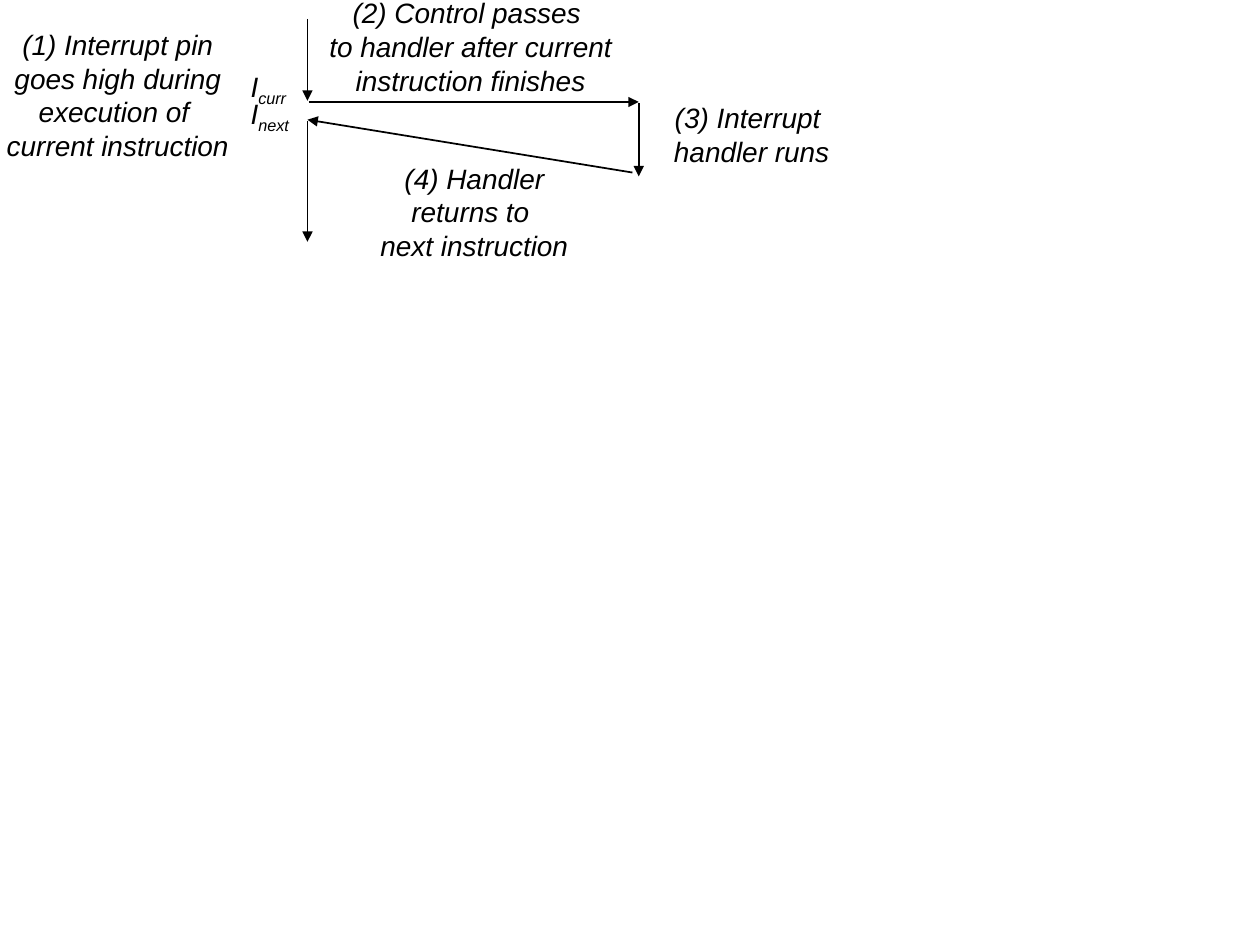
from pptx import Presentation
from pptx.dml.color import RGBColor
from pptx.enum.shapes import MSO_CONNECTOR
from pptx.enum.text import MSO_ANCHOR, MSO_AUTO_SIZE, PP_ALIGN
from pptx.oxml.ns import qn
from pptx.util import Pt
from lxml.etree import SubElement

COLORS = {"ink": "000000"}


class Diagram:
    """Style of the interrupt diagram and the slide it is drawn on."""

    def __init__(self, s):
        self.s = s
        self.ink = RGBColor.from_string(COLORS["ink"])
        self.font = {"name": "Arial", "size": Pt(16), "italic": True}

    def arrow(self, x1, y1, x2, y2):
        c = self.s.shapes.add_connector(
            MSO_CONNECTOR.STRAIGHT, Pt(x1), Pt(y1), Pt(x2), Pt(y2))
        c.line.width = Pt(1)
        c.line.color.rgb = self.ink
        SubElement(c.line._get_or_add_ln(), qn("a:tailEnd"), type="triangle")
        SubElement(c._element.spPr, qn("a:effectLst"))

    def run(self, p, text):
        r = p.add_run()
        r.text = text
        for key, value in self.font.items():
            setattr(r.font, key, value)
        r.font.color.rgb = self.ink
        return r

    def box(self, x, y, w, h, wrap=False, anchor=MSO_ANCHOR.TOP):
        tf = self.s.shapes.add_textbox(Pt(x), Pt(y), Pt(w), Pt(h)).text_frame
        tf.word_wrap = wrap
        tf.auto_size = MSO_AUTO_SIZE.SHAPE_TO_FIT_TEXT
        tf.vertical_anchor = anchor
        return tf

    def note(self, lines, *place, **options):
        tf = self.box(*place, **options)
        for i, line in enumerate(lines):
            p = tf.add_paragraph() if i else tf.paragraphs[0]
            p.alignment = PP_ALIGN.CENTER
            self.run(p, line)

    def symbol(self, base, sub, *place):
        p = self.box(*place).paragraphs[0]
        self.run(p, base)
        r = self.run(p, sub)
        r.font._element.set("baseline", "-25000")


def main():
    prs = Presentation()
    prs.slide_width, prs.slide_height = Pt(720), Pt(540)
    d = Diagram(prs.slides.add_slide(prs.slide_layouts[6]))

    # Control flow: program on the left, handler on the right
    program, handler = 175.7, 365
    d.arrow(program, 10.8, program, 57.6)
    d.arrow(176.4, 58.3, handler, 58.3)
    d.arrow(handler, 59, handler, 100.8)
    d.arrow(361.4, 98.6, program, 68.4)
    d.arrow(program, 69.1, program, 138.2)

    # Steps 2 to 4
    d.note(["(2) Control passes ", "to handler after current",
            "instruction finishes"], 180.7, -5.8, 176.4, 64.8)
    d.note(["(3) Interrupt ", "handler runs"],
           370.8, 54, 117.4, 45.4, wrap=True)
    d.note(["(4) Handler", "returns to ", "next instruction"],
           210.2, 88.6, 121.7, 64.8)

    # Instruction symbols
    d.symbol("I", "curr", 136.1, 36, 38.2, 26.6)
    d.symbol("I", "next", 136.1, 51.8, 39.6, 26.6)

    # Step 1
    d.note(["(1) Interrupt pin", "goes high during", "execution of ",
            "current instruction"], -3.6, 12.2, 141.8, 84.2,
           anchor=MSO_ANCHOR.MIDDLE)

    prs.save("out.pptx")


if __name__ == "__main__":
    main()
